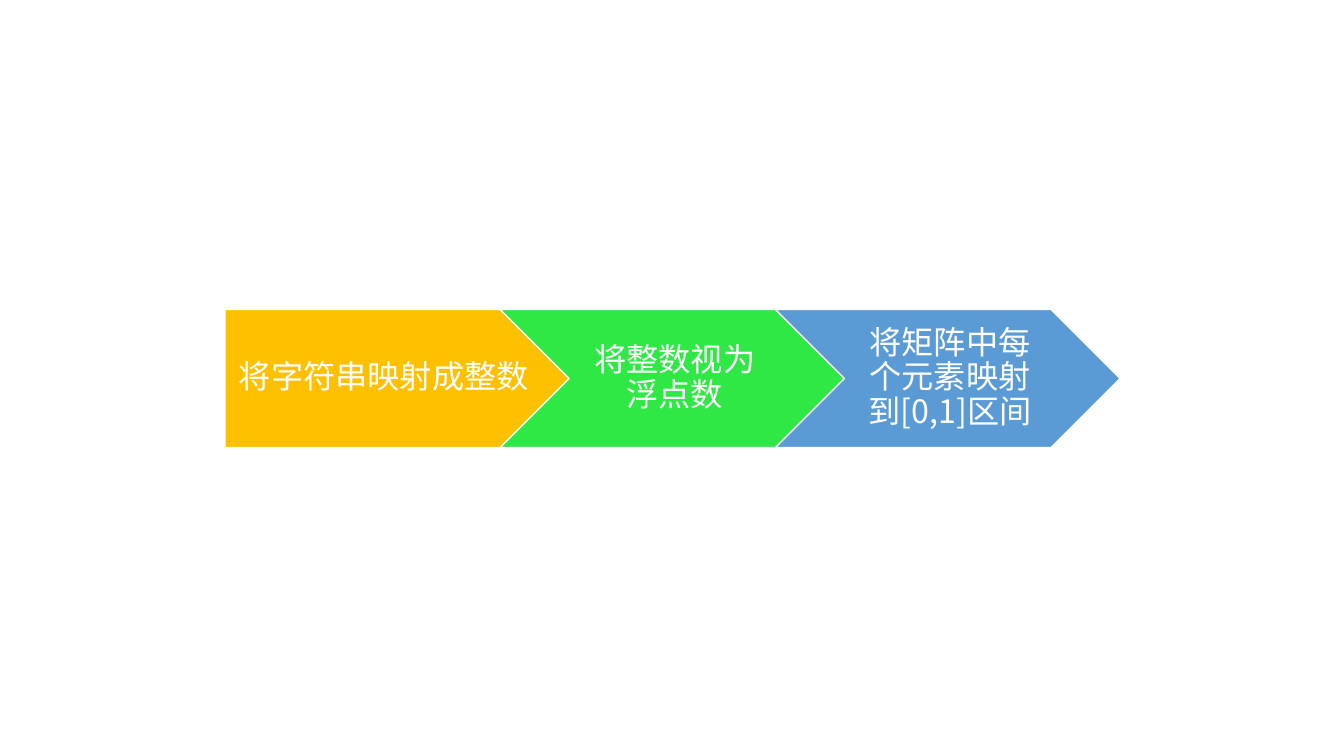
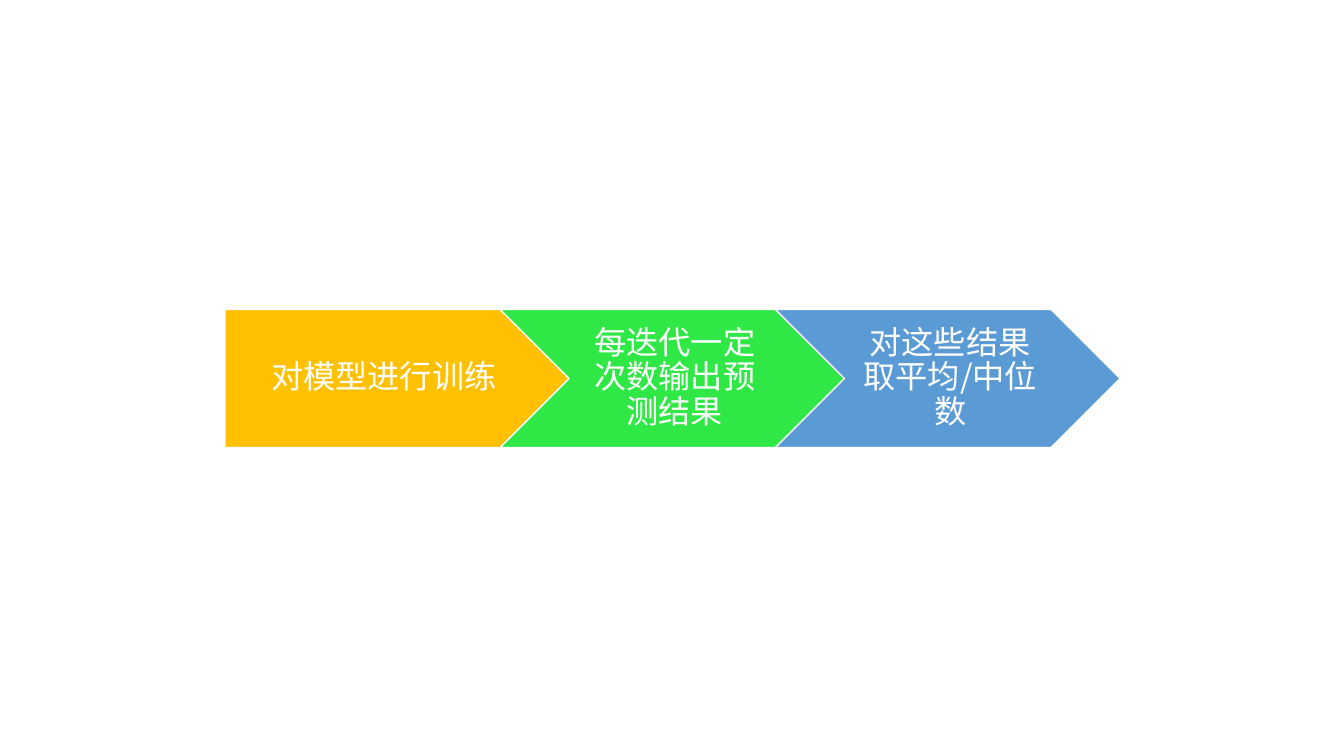
from pptx import Presentation
from pptx.dml.color import RGBColor
from pptx.enum.lang import MSO_LANGUAGE_ID as Language
from pptx.enum.shapes import MSO_SHAPE as Preset
from pptx.enum.text import MSO_ANCHOR as Anchor, PP_ALIGN as Align
from pptx.oxml.ns import qn
from pptx.util import Inches, Pt

PROCESSES = [
    ["将字符串映射成整数", "将整数视为浮点数", "将矩阵中每个元素映射到[0,1]区间"],
    ["对模型进行训练", "每迭代一定次数输出预测结果", "对这些结果取平均/中位数"],
]

COLORS = {"amber": "FFC000", "green": "30E845", "blue": "5B9BD5", "white": "FFFFFF"}
FONT = "Noto Sans CJK SC"

# Preset, fill and left text inset of each step
STEP_STYLES = [
    (Preset.PENTAGON, "amber", 0.13),
    (Preset.CHEVRON, "green", 0.1),
    (Preset.CHEVRON, "blue", 0.1),
]

ROW_LEFT, ROW_TOP = 2.23, 3.07
STEP_WIDTH, STEP_HEIGHT = 3.42, 1.37
STEP_PITCH = 2.73
RIGHT_INSET, VERTICAL_INSET = 0.05, 0.07


def color(name):
    """Return the named palette colour."""
    return RGBColor.from_string(COLORS[name])


def write_label(shape, label, left_inset):
    """Write a centred white label inside a step."""
    frame = shape.text_frame
    frame.word_wrap = True
    frame.vertical_anchor = Anchor.MIDDLE
    frame.margin_left, frame.margin_right = Inches(left_inset), Inches(RIGHT_INSET)
    frame.margin_top = frame.margin_bottom = Inches(VERTICAL_INSET)
    paragraph = frame.paragraphs[0]
    paragraph.alignment = Align.CENTER
    paragraph.line_spacing = 0.9
    paragraph.space_after = Pt(8)
    run = paragraph.add_run()
    run.text = label
    run.font.size = Pt(23)
    run.font.name = FONT
    run.font.color.rgb = color("white")
    run.font.language_id = Language.SIMPLIFIED_CHINESE
    latin = run.font._element.find(qn("a:latin"))
    east_asian = latin.makeelement(qn("a:ea"), {"typeface": FONT})
    latin.addnext(east_asian)


def add_process(slide, labels):
    """Add one grouped row of interlocking process arrows."""
    group = slide.shapes.add_group_shape()
    for index, (label, style) in enumerate(zip(labels, STEP_STYLES)):
        preset, fill, left_inset = style
        shape = group.shapes.add_shape(
            preset,
            Inches(ROW_LEFT + index * STEP_PITCH), Inches(ROW_TOP),
            Inches(STEP_WIDTH), Inches(STEP_HEIGHT),
        )
        shape.shadow.inherit = False
        shape.fill.solid()
        shape.fill.fore_color.rgb = color(fill)
        shape.line.color.rgb = color("white")
        shape.line.width = Pt(1)
        write_label(shape, label, left_inset)


def main():
    """Build one slide for each process."""
    presentation = Presentation()
    presentation.slide_width = Inches(13.33)
    presentation.slide_height = Inches(7.5)
    blank_layout = presentation.slide_layouts[6]
    for labels in PROCESSES:
        add_process(presentation.slides.add_slide(blank_layout), labels)
    presentation.save("out.pptx")


main()
